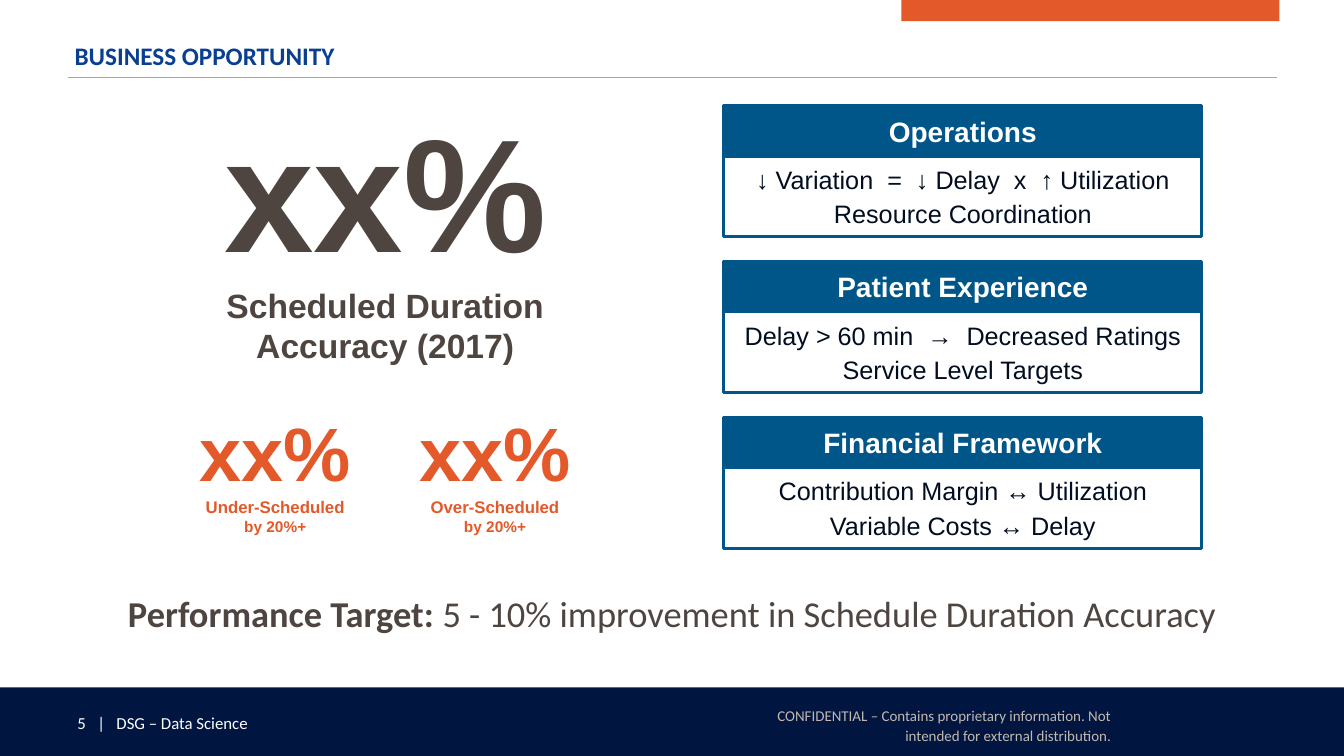
import pptx
import pptx.dml.color
import pptx.enum.shapes
import pptx.enum.text
import pptx.oxml
import pptx.util

Inches, Pt = pptx.util.Inches, pptx.util.Pt
Align, Anchor = pptx.enum.text.PP_ALIGN, pptx.enum.text.MSO_ANCHOR

TITLE = "BUSINESS OPPORTUNITY"
FOOTER = "5   |   DSG – Data Science"
NOTICE = ("CONFIDENTIAL – Contains proprietary information. "
          "Not intended for external distribution.")
SCORE = ["xx%", "Scheduled Duration Accuracy (2017)"]
MISSES = [
    ["xx%", "Under-Scheduled", "by 20%+"],
    ["xx%", "Over-Scheduled", "by 20%+"],
]
TARGET = ("Performance Target: ",
          "5 - 10% improvement in Schedule Duration Accuracy")
CARDS = [
    ("Operations",
     ["↓ Variation  =  ↓ Delay  x  ↑ Utilization", "Resource Coordination"]),
    ("Patient Experience",
     ["Delay > 60 min  →  Decreased Ratings", "Service Level Targets"]),
    ("Financial Framework",
     ["Contribution Margin ↔ Utilization", "Variable Costs ↔ Delay"]),
]

THEME = {
    "white": "FFFFFF", "orange": "E35929", "navy": "001641", "blue": "005689",
    "title": "093F90", "brown": "4E4540", "ink": "020E20", "sand": "C2B8AF",
    "rule": "A6A6A6",
    "head": "Arial", "text": "Calibri",
    "sizes": {"score": [115, 24], "miss": [54, 12, 11], "title": 18,
              "foot": 12, "notice": 10.7, "target": 26, "card": 20, "body": 18},
}
SIZES = THEME["sizes"]
CENTER = {"alignment": Align.CENTER}


def color(name):
    return pptx.dml.color.RGBColor.from_string(THEME[name])


def assign(item, values):
    for name, value in values.items():
        setattr(item, name, value)


def style(run, size, tint, face="head", bold=False):
    assign(run.font, {"size": Pt(size), "name": THEME[face], "bold": bold})
    run.font.color.rgb = color(tint)


def write(shape, lines, para=CENTER, frame=None):
    """Fill a shape; each line is a list of (text, size, tint, face, bold) runs."""
    box = shape.text_frame
    assign(box, {"word_wrap": True, **(frame or {})})
    for i, line in enumerate(lines):
        item = box.paragraphs[0] if i == 0 else box.add_paragraph()
        assign(item, para)
        for text, *look in line:
            run = item.add_run()
            run.text = text
            style(run, *look)


def block(slide, spot, fill, edge=None):
    """Add a rectangle; edge is a line width in points."""
    shape = slide.shapes.add_shape(
        pptx.enum.shapes.MSO_SHAPE.RECTANGLE, *map(Inches, spot))
    shape.shadow.inherit = False
    shape.fill.solid()
    shape.fill.fore_color.rgb = color(fill)
    if edge:
        shape.line.color.rgb = color("blue")
        shape.line.width = Pt(edge)
    else:
        shape.line.fill.background()
    shape.text_frame.vertical_anchor = Anchor.MIDDLE
    return shape


def label(slide, spot, lines, para, frame=None):
    write(slide.shapes.add_textbox(*map(Inches, spot)), lines, para, frame)


def insets(side, top):
    return {"margin_left": Inches(side), "margin_right": Inches(side),
            "margin_top": Inches(top), "margin_bottom": Inches(top)}


def figure(slide, spot, texts, sizes, tint):
    lines = [[(text, size, tint, "head", True)]
             for text, size in zip(texts, sizes)]
    write(block(slide, spot, "white"), lines)


def trim(slide):
    """Draw the top tab, the footer band and the title with its rule."""
    block(slide, (8.94, 0, 3.75, 0.21), "orange")
    block(slide, (0, 6.82, 13.33, 0.68), "navy")
    label(slide, (0.67, 7.02, 4.42, 0.3),
          [[(FOOTER, SIZES["foot"], "white", "text")]], {})
    label(slide, (7.4, 6.74, 3.75, 0.9),
          [[(NOTICE, SIZES["notice"], "sand", "text")]],
          {"alignment": Align.RIGHT, "line_spacing": 1.1},
          {"vertical_anchor": Anchor.MIDDLE, **insets(0.13, 0.07)})

    title = slide.shapes.title
    assign(title, {"left": Inches(0.67), "top": Inches(0.36),
                   "width": Inches(12), "height": Inches(0.89)})
    write(title, [[(TITLE, SIZES["title"], "title", "text", True)]],
          {"alignment": Align.LEFT},
          {"vertical_anchor": Anchor.TOP, **insets(0.07, 0.04)})

    rule = slide.shapes.add_connector(
        pptx.enum.shapes.MSO_CONNECTOR.STRAIGHT,
        Inches(0.67), Inches(0.77), Inches(12.67), Inches(0.77))
    rule.line.color.rgb = color("rule")
    rule.line.width = Pt(0.75)
    rule._element.spPr.append(pptx.oxml.parse_xml(
        '<a:effectLst xmlns:a='
        '"http://schemas.openxmlformats.org/drawingml/2006/main"/>'))


def cards(slide):
    left, top, width, step = 7.18, 1.05, 4.74, 1.545
    head, body = 0.5, 0.8
    for i, (name, texts) in enumerate(CARDS):
        y = top + i * step
        lines = [[(text, SIZES["body"], "ink")] for text in texts]
        write(block(slide, (left, y + head, width, body), "white", 2),
              lines, {**CENTER, "space_after": Pt(3)})
        write(block(slide, (left, y, width, head), "blue", 2.25),
              [[(name, SIZES["card"], "white", "head", True)]])


def main():
    deck = pptx.Presentation()
    assign(deck, {"slide_width": Inches(13.33), "slide_height": Inches(7.5)})
    slide = deck.slides.add_slide(deck.slide_layouts.get_by_name("Title Only"))
    trim(slide)
    figure(slide, (1.74, 0.9, 4.16, 2.73), SCORE, SIZES["score"], "brown")
    width = 2.18
    for i, texts in enumerate(MISSES):
        figure(slide, (1.64 + i * width, 3.92, width, 1.5),
               texts, SIZES["miss"], "orange")
    lead, rest = TARGET
    label(slide, (0.67, 5.77, 12, 0.87),
          [[(lead, SIZES["target"], "brown", "text", True),
            (rest, SIZES["target"], "brown", "text")]],
          {**CENTER, "line_spacing": 1.1, "space_after": Pt(6)})
    cards(slide)
    deck.save("out.pptx")


if __name__ == "__main__":
    main()
